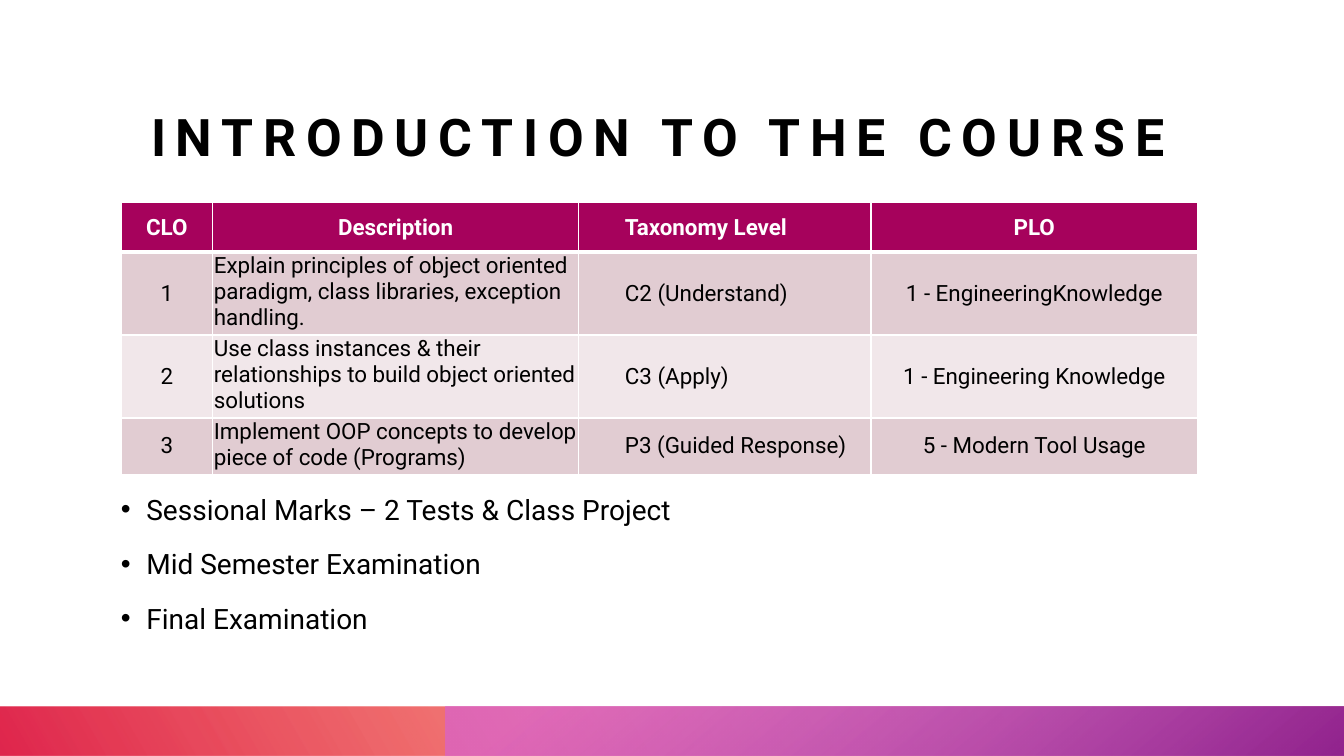
import pptx
import pptx.util
import pptx.dml.color
import pptx.enum.shapes
import pptx.enum.text
import pptx.oxml.ns
from lxml import etree

Cm = pptx.util.Cm
Pt = pptx.util.Pt
RGBColor = pptx.dml.color.RGBColor
Align = pptx.enum.text.PP_ALIGN
Anchor = pptx.enum.text.MSO_ANCHOR
qn = pptx.oxml.ns.qn

BLACK = RGBColor(0x00, 0x00, 0x00)
WHITE = RGBColor(0xFF, 0xFF, 0xFF)
HEADER = RGBColor(0xA6, 0x02, 0x5C)
ROW_DARK = RGBColor(0xE1, 0xCC, 0xD2)
ROW_LIGHT = RGBColor(0xF1, 0xE7, 0xEA)
ORANGE = RGBColor(0xFE, 0x4A, 0x00)
RED = RGBColor(0xDA, 0x00, 0x2F)
PINK = RGBColor(0xD8, 0x61, 0xD4)
PURPLE = RGBColor(0x92, 0x24, 0x8E)

SLIDE_WIDTH, SLIDE_HEIGHT = 33.87, 19.05
BAND_TOP = 17.8
CONTENT_LEFT = 3.05
CELL_MARGIN = 0.03

OUTCOMES = [
    ("CLO", "Description", "Taxonomy Level", "PLO"),
    ("1", "Explain principles of object oriented paradigm, class libraries, exception handling.",
     "C2 (Understand)", "1 - EngineeringKnowledge"),
    ("2", "Use class instances & their relationships to build object oriented solutions",
     "C3 (Apply)", "1 - Engineering Knowledge"),
    ("3", "Implement OOP concepts to develop piece of code (Programs)",
     "P3 (Guided Response)", "5 - Modern Tool Usage"),
]
ASSESSMENTS = [
    "Sessional Marks – 2 Tests & Class Project",
    "Mid Semester Examination",
    "Final Examination",
]


class CourseSlide:
    font_name = "Roboto"

    def __init__(self, page):
        self.page = page

    def style(self, paragraph, size, color=BLACK, bold=False):
        font = paragraph.font
        font.name, font.size, font.bold = self.font_name, Pt(size), bold
        font.color.rgb = color

    def indent(self, paragraph, margin, hanging=0):
        properties = paragraph._p.get_or_add_pPr()
        properties.set("marL", str(Cm(margin)))
        properties.set("indent", str(-Cm(hanging)))
        return properties

    def text_frame(self, left, top, width, height, anchor):
        box = self.page.shapes.add_textbox(Cm(left), Cm(top), Cm(width), Cm(height))
        frame = box.text_frame
        frame.word_wrap = True
        frame.vertical_anchor = anchor
        frame.margin_left = frame.margin_right = frame.margin_top = frame.margin_bottom = 0
        return frame

    def title(self, text, left, top, width, height):
        paragraph = self.text_frame(left, top, width, height, Anchor.BOTTOM).paragraphs[0]
        span = paragraph.add_run()
        span.text = text
        span._r.get_or_add_rPr().set("spc", "700")
        paragraph.line_spacing = 0.9
        self.style(paragraph, 37, bold=True)

    def bullets(self, items, left, top, width, height):
        frame = self.text_frame(left, top, width, height, Anchor.TOP)
        for index, item in enumerate(items):
            paragraph = frame.add_paragraph() if index else frame.paragraphs[0]
            paragraph.text = item
            properties = self.indent(paragraph, 0.64, 0.64)
            etree.SubElement(properties, qn("a:buFont"), typeface="Arial")
            etree.SubElement(properties, qn("a:buChar"), char="•")
            paragraph.line_spacing = 1.2
            paragraph.space_before = Pt(10)
            self.style(paragraph, 20)

    def band(self, left, angle, stops, rotation=0):
        shape = self.page.shapes.add_shape(
            pptx.enum.shapes.MSO_SHAPE.RECTANGLE,
            Cm(left), Cm(BAND_TOP), Cm(SLIDE_WIDTH - left), Cm(SLIDE_HEIGHT - BAND_TOP))
        shape.shadow.inherit = False
        shape.line.fill.background()
        shape.rotation = rotation
        shape._element.spPr.find(qn("a:xfrm")).set("flipH", "1")
        shape.fill.gradient()
        shape.fill.gradient_angle = angle
        for stop, (position, color, opacity) in zip(shape.fill.gradient_stops, stops):
            stop.position = position
            stop.color.rgb = color
            tint = stop._gs.find(qn("a:srgbClr"))
            etree.SubElement(tint, qn("a:alpha"), val=str(opacity * 1000))

    def borders(self, cell, row):
        properties = cell._tc.get_or_add_tcPr()
        widths = {"lnL": 1, "lnR": 1, "lnT": 3 if row == 1 else 1, "lnB": 3 if row == 0 else 1}
        for side, width in widths.items():
            line = etree.SubElement(properties, qn(f"a:{side}"), w=str(Pt(width)))
            fill = etree.SubElement(line, qn("a:solidFill"))
            etree.SubElement(fill, qn("a:srgbClr"), val=str(WHITE))

    def cell(self, cell, text, row, column):
        described = column == 1
        self.borders(cell, row)
        cell.fill.solid()
        cell.fill.fore_color.rgb = HEADER if row == 0 else (ROW_LIGHT, ROW_DARK)[row % 2]
        cell.margin_left = cell.margin_right = Cm(CELL_MARGIN)
        cell.margin_top = cell.margin_bottom = Cm(CELL_MARGIN)
        cell.vertical_anchor = Anchor.TOP if described and row else Anchor.MIDDLE
        cell.text = text
        paragraph = cell.text_frame.paragraphs[0]
        if column == 2:
            self.indent(paragraph, 1.14)
        if column in (0, 3) or row == 0 and described:
            paragraph.alignment = Align.CENTER
        if not described:
            paragraph.space_before = Pt(8.6)
        self.style(paragraph, 16, BLACK if row else WHITE, row == 0)

    def table(self, rows, left, top, widths, heights):
        table = self.page.shapes.add_table(
            len(rows), len(widths), Cm(left), Cm(top),
            Cm(sum(widths)), Cm(sum(heights))).table
        for column, width in zip(table.columns, widths):
            column.width = Cm(width)
        for line, height in zip(table.rows, heights):
            line.height = Cm(height)
        for row, texts in enumerate(rows):
            for column, text in enumerate(texts):
                self.cell(table.cell(row, column), text, row, column)


def main():
    deck = pptx.Presentation()
    deck.slide_width, deck.slide_height = Cm(SLIDE_WIDTH), Cm(SLIDE_HEIGHT)
    slide = CourseSlide(deck.slides.add_slide(deck.slide_layouts[6]))
    slide.title("INTRODUCTION TO THE COURSE", 3.81, 1.27, 26.24, 2.95)
    slide.table(OUTCOMES, CONTENT_LEFT, 5.11, (2.31, 9.22, 7.37, 8.23), (1.24, 2.02, 2.02, 1.35))
    slide.band(0, 150, ((0.14, ORANGE, 28), (1, RED, 85)), rotation=180)
    slide.band(11.22, 230, ((0.09, PINK, 68), (0.99, PURPLE, 100)))
    slide.bullets(ASSESSMENTS, CONTENT_LEFT, 12.24, 28.45, 4.04)
    deck.save("out.pptx")


if __name__ == "__main__":
    main()
